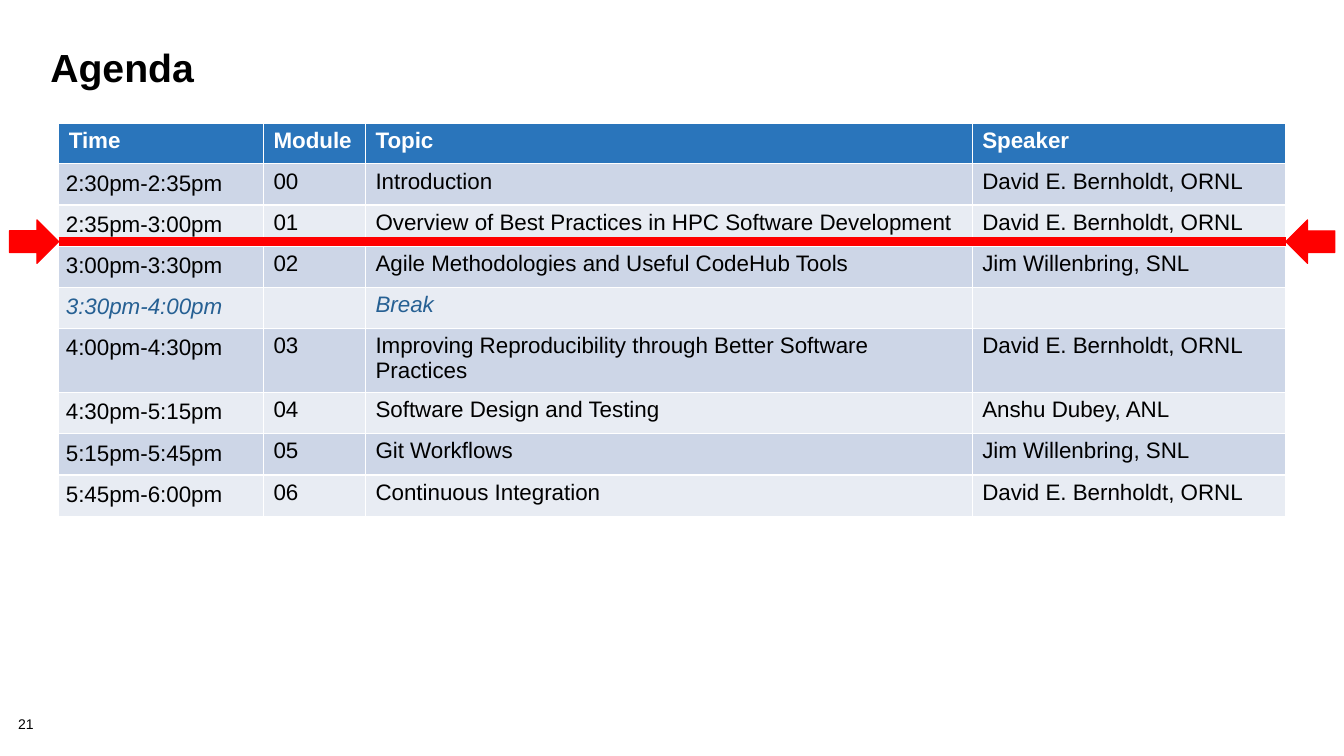
"""Build the agenda slide with its time table and red progress marker."""
from dataclasses import dataclass

from lxml.etree import SubElement
from pptx import Presentation
from pptx.dml.color import RGBColor as RGB
from pptx.enum.shapes import MSO_CONNECTOR as Link, MSO_SHAPE as Kind
from pptx.oxml.ns import qn
from pptx.util import Cm, Pt


@dataclass(frozen=True)
class Theme:
    face: str = "Arial"
    title: int = 28
    body: int = 16
    small: int = 10
    black: str = "000000"
    white: str = "FFFFFF"
    head: str = "2A75BB"
    bands: tuple = ("CDD6E7", "E8ECF3")
    pause: str = "266093"
    mark: str = "FF0000"


theme = Theme()


def style(para, size, color, bold=False, italic=False):
    for run in para.runs:
        font = run.font
        font.name, font.size = theme.face, Pt(size)
        font.bold, font.italic = bold, italic
        font.color.rgb = RGB.from_string(color)


def label(slide, box, text, size, bold, space):
    frame = slide.shapes.add_textbox(*map(Cm, box)).text_frame
    frame.word_wrap = True
    frame.text = text
    para = frame.paragraphs[0]
    para.line_spacing = space
    style(para, size, theme.black, bold)
    return frame


deck = Presentation()
deck.slide_width, deck.slide_height = Cm(33.87), Cm(19.05)
slide = deck.slides.add_slide(deck.slide_layouts[6])

number = label(slide, (0.46, 18.08, 1.42, 0.41), "21", theme.small, False, 0.9)
number.margin_left = number.margin_right = 0
number.margin_top = number.margin_bottom = 0
label(slide, (1.02, 1.14, 31.6, 2.54), "Agenda", theme.title, True, 0.85)

rows = [
    ("Time", "Module", "Topic", "Speaker"),
    ("2:30pm-2:35pm", "00", "Introduction", "David E. Bernholdt, ORNL"),
    ("2:35pm-3:00pm", "01", "Overview of Best Practices in HPC Software Development",
     "David E. Bernholdt, ORNL"),
    ("3:00pm-3:30pm", "02", "Agile Methodologies and Useful CodeHub Tools",
     "Jim Willenbring, SNL"),
    ("3:30pm-4:00pm", "", "Break", ""),
    ("4:00pm-4:30pm", "03", "Improving Reproducibility through Better Software Practices",
     "David E. Bernholdt, ORNL"),
    ("4:30pm-5:15pm", "04", "Software Design and Testing", "Anshu Dubey, ANL"),
    ("5:15pm-5:45pm", "05", "Git Workflows", "Jim Willenbring, SNL"),
    ("5:45pm-6:00pm", "06", "Continuous Integration", "David E. Bernholdt, ORNL"),
]
widths = (5.16, 2.57, 15.29, 7.9)
left, top, high = 1.48, 3.1, 1.03
right = left + sum(widths)

table = slide.shapes.add_table(
    len(rows), len(widths), Cm(left), Cm(top), Cm(right - left), Cm(high * len(rows))
).table
for col, width in zip(table.columns, widths):
    col.width = Cm(width)
for r, row in enumerate(rows):
    table.rows[r].height = Cm(high)
    header, pause = r == 0, "Break" in row
    color = theme.white if header else theme.pause if pause else theme.black
    fill = theme.head if header else theme.bands[(r - 1) % 2]
    for c, text in enumerate(row):
        cell = table.cell(r, c)
        cell.fill.solid()
        cell.fill.fore_color.rgb = RGB.from_string(fill)
        if c == 0 and not header:
            cell.margin_left = cell.margin_right = Cm(0.18)
            cell.margin_top = cell.margin_bottom = Cm(0.18)
        cell.text_frame.text = text
        style(cell.text_frame.paragraphs[0], theme.body, color, header, pause)

red = RGB.from_string(theme.mark)
level, wide, tall = 6.09, 1.24, 1.1
marker = slide.shapes.add_group_shape().shapes
line = marker.add_connector(Link.STRAIGHT, Cm(left), Cm(level), Cm(right), Cm(level))
line.line.color.rgb = red
line.line.width = Pt(6)
SubElement(line._element.spPr, qn("a:effectLst"))
for x, turn in ((left - wide, 0), (right, 180)):
    arrow = marker.add_shape(
        Kind.RIGHT_ARROW, Cm(x), Cm(level - tall / 2), Cm(wide), Cm(tall))
    arrow.rotation = turn
    arrow.shadow.inherit = False
    arrow.fill.solid()
    arrow.fill.fore_color.rgb = red
    arrow.line.color.rgb = red
    arrow.line.width = Pt(0.75)

deck.save("out.pptx")
